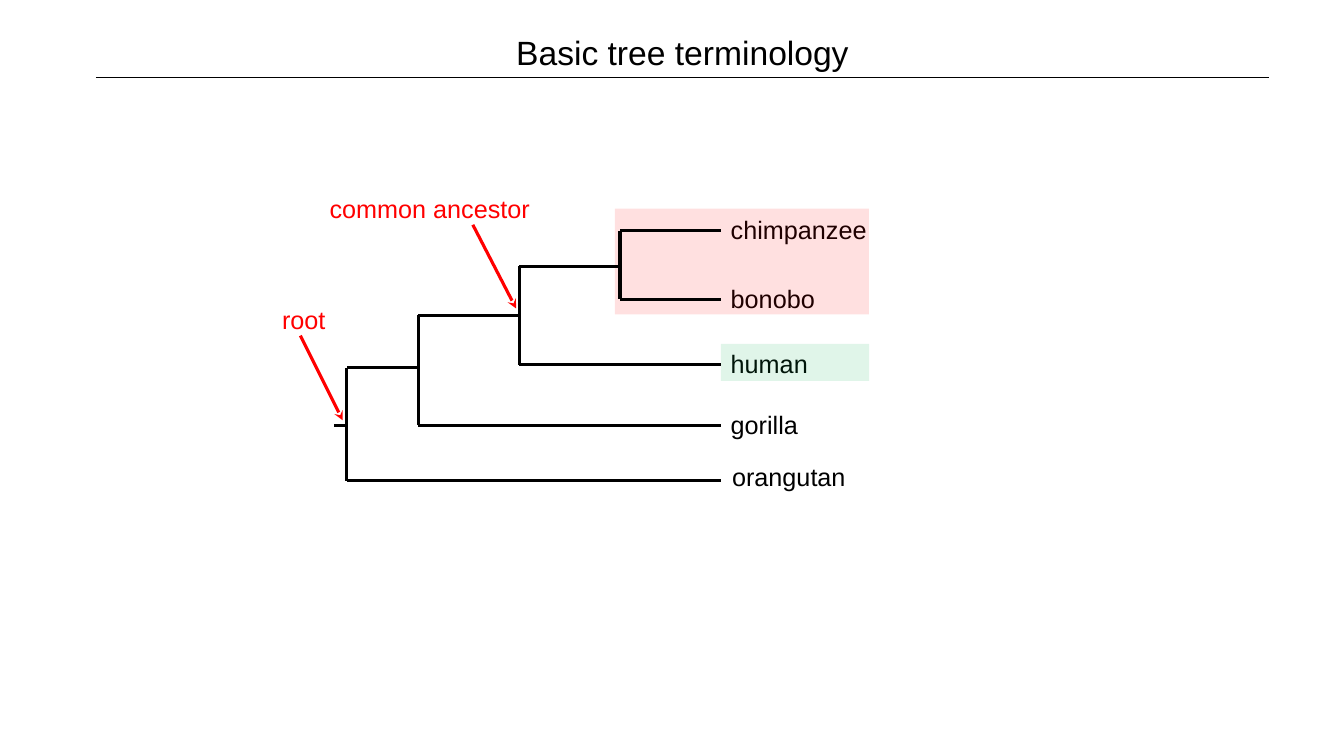
from typing import NamedTuple

from lxml.etree import SubElement
from pptx import Presentation
from pptx.dml.color import RGBColor
from pptx.enum.shapes import MSO_CONNECTOR as CONN, MSO_SHAPE as SHAPE
from pptx.enum.text import MSO_ANCHOR as ANCHOR, PP_ALIGN as ALIGN
from pptx.oxml.ns import qn
from pptx.util import Inches, Pt

COLORS = {"ink": "000000", "red": "FF0000", "green": "00B050"}
FONT = "Arial"
SLIDE_W, SLIDE_H = Inches(13.33), Inches(7.5)

# All positions are percentages of the slide's width (x) and height (y).
LEFT, RIGHT = 7.13, 94.43
TIP_X, STEP_X = 53.63, 7.5
ROOT_X, STEM_X = 25.8, 24.83
LABEL_H = 5.33


class Tip(NamedTuple):
    name: str
    branch_y: float
    label_y: float
    indent: float = 0


class Fork(NamedTuple):
    x: float
    lower_tip: int
    stem_y: float


class Highlight(NamedTuple):
    x: float
    y: float
    w: float
    h: float
    color: str


class Callout(NamedTuple):
    text: str
    x: float
    y: float
    w: float
    start: tuple[float, float]
    end: tuple[float, float]


TIPS = [
    Tip("chimpanzee", 30.53, 27.73),
    Tip("bonobo", 39.6, 36.8),
    Tip("human", 48.27, 45.47),
    Tip("gorilla", 56.27, 53.47),
    Tip("orangutan", 63.6, 60.4, 0.1),
]
FORKS = [
    Fork(TIP_X - STEP_X, 1, 35.2),
    Fork(TIP_X - 2 * STEP_X, 2, 41.73),
    Fork(TIP_X - 3 * STEP_X, 3, 48.67),
    Fork(ROOT_X, 4, 56.27),
]
HIGHLIGHTS = [
    Highlight(45.75, 27.6, 18.9, 14, "red"),
    Highlight(TIP_X, 45.47, 11.03, 4.93, "green"),
]
CALLOUTS = [
    Callout("common ancestor", 23.78, 24.93, 18.9, (35.18, 29.73), (38.4, 40.8)),
    Callout("root", 20.25, 39.6, 9.53, (22.35, 44.4), (25.5, 55.6)),
]


def px(share: float) -> int:
    """Horizontal share of the slide as a length."""
    return round(SLIDE_W * share / 100)


def py(share: float) -> int:
    """Vertical share of the slide as a length."""
    return round(SLIDE_H * share / 100)


def rgb(name: str) -> RGBColor:
    return RGBColor.from_string(COLORS[name])


def add_text(s, text: str, x: float, y: float, w: float, h: float,
             size: int = 18, color: str = "ink", align=ALIGN.LEFT) -> None:
    tf = s.shapes.add_textbox(px(x), py(y), px(w), py(h)).text_frame
    tf.word_wrap = True
    tf.vertical_anchor = ANCHOR.TOP
    p = tf.paragraphs[0]
    p.alignment = align
    r = p.add_run()
    r.text = text
    r.font.name, r.font.size = FONT, Pt(size)
    r.font.color.rgb = rgb(color)


def add_line(s, start: tuple[float, float], end: tuple[float, float],
             color: str = "ink", width: float = 2.25, arrow: bool = False) -> None:
    line = s.shapes.add_connector(CONN.STRAIGHT, px(start[0]), py(start[1]),
                                  px(end[0]), py(end[1]))
    line.line.color.rgb = rgb(color)
    line.line.width = Pt(width)
    if arrow:
        SubElement(line.line._get_or_add_ln(), qn("a:tailEnd"), type="stealth")
    SubElement(line._element.spPr, qn("a:effectLst"))


def add_highlight(s, mark: Highlight) -> None:
    sp = s.shapes.add_shape(SHAPE.RECTANGLE, px(mark.x), py(mark.y),
                            px(mark.w), py(mark.h))
    sp.shadow.inherit = False
    sp.fill.solid()
    sp.fill.fore_color.rgb = rgb(mark.color)
    color = sp._element.spPr.find(".//" + qn("a:srgbClr"))
    SubElement(color, qn("a:alpha"), val="12000")
    sp.line.fill.background()


def add_tree(s) -> None:
    """Each fork joins the clade above it to one more tip, then stems leftwards."""
    top = TIPS[0].branch_y
    add_line(s, (TIP_X, top), (FORKS[0].x, top))
    stem_ends = [fork.x for fork in FORKS[1:]] + [STEM_X]
    for fork, stem_end in zip(FORKS, stem_ends):
        bottom = TIPS[fork.lower_tip].branch_y
        add_line(s, (fork.x, top), (fork.x, bottom))
        add_line(s, (TIP_X, bottom), (fork.x, bottom))
        add_line(s, (fork.x, fork.stem_y), (stem_end, fork.stem_y))
        top = fork.stem_y


def main() -> None:
    prs = Presentation()
    prs.slide_width, prs.slide_height = SLIDE_W, SLIDE_H
    s = prs.slides.add_slide(prs.slide_layouts[6])

    add_text(s, "Basic tree terminology", LEFT, 3.5, RIGHT - LEFT, 6.5,
             size=24, align=ALIGN.CENTER)
    add_line(s, (LEFT, 10.27), (RIGHT, 10.27), width=0.5)
    for tip in TIPS:
        add_text(s, tip.name, TIP_X + tip.indent, tip.label_y, 12, LABEL_H)
    for mark in HIGHLIGHTS:
        add_highlight(s, mark)
    add_tree(s)
    for note in CALLOUTS:
        add_line(s, note.start, note.end, color="red", arrow=True)
        add_text(s, note.text, note.x, note.y, note.w, LABEL_H, color="red")

    prs.save("out.pptx")


if __name__ == "__main__":
    main()
